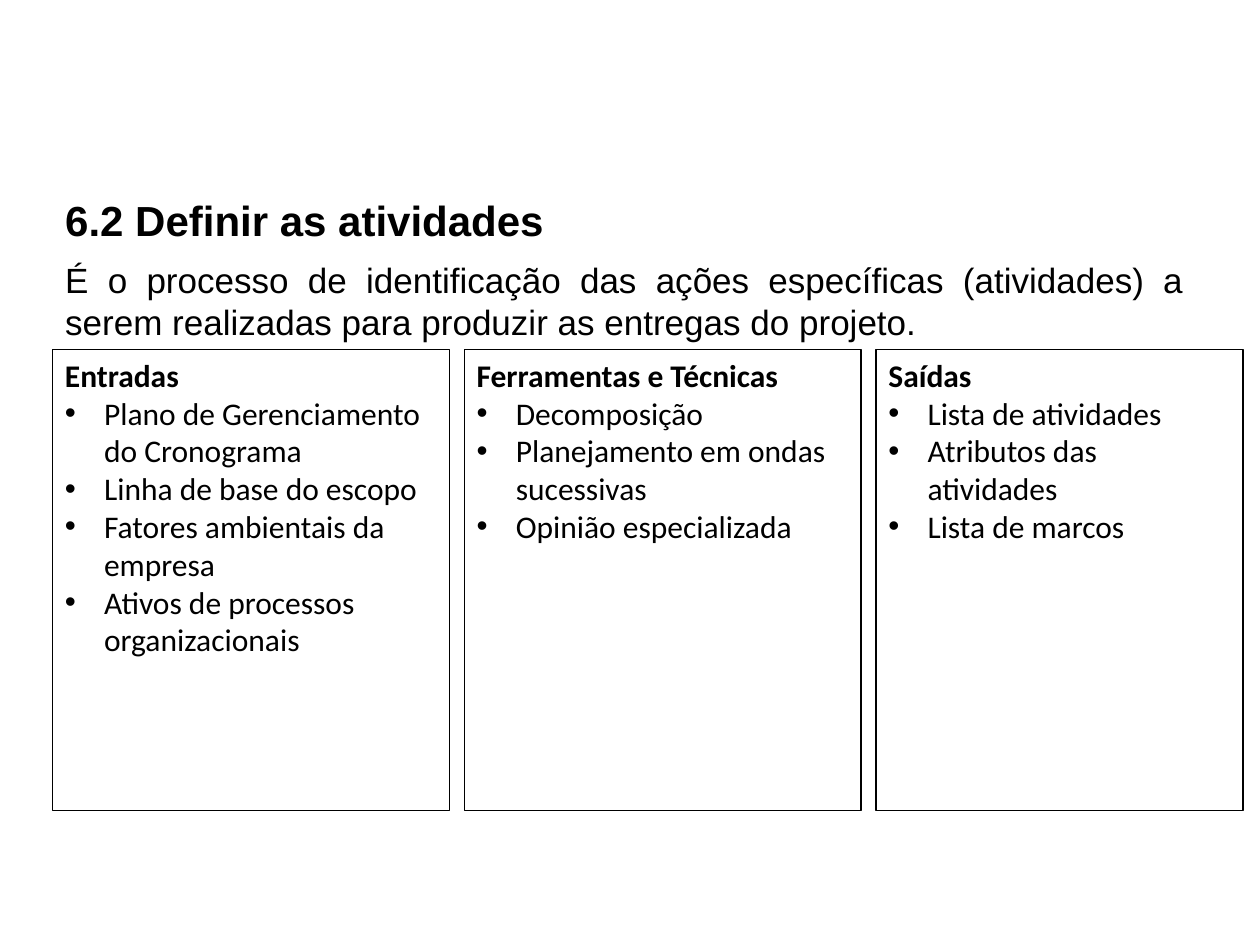
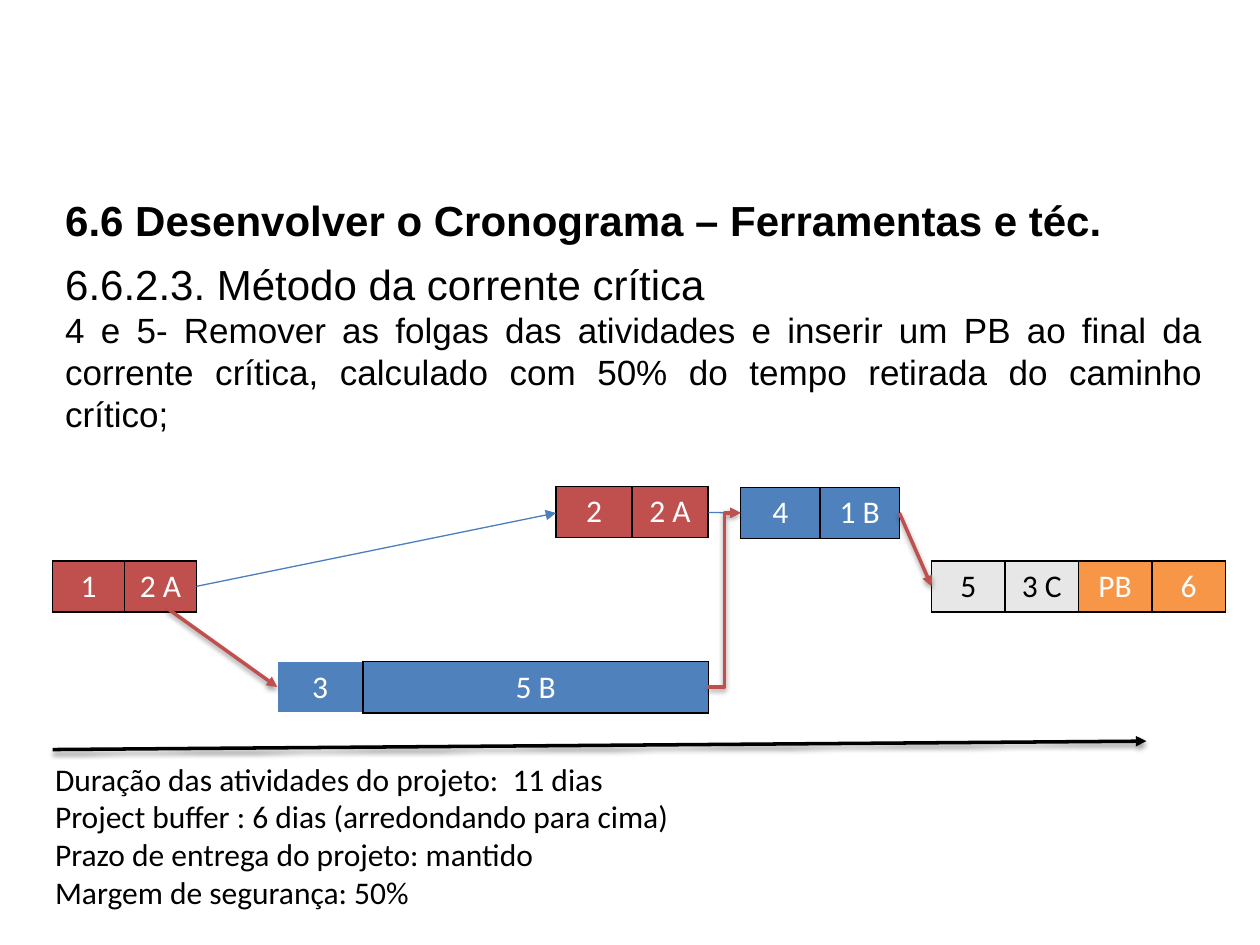
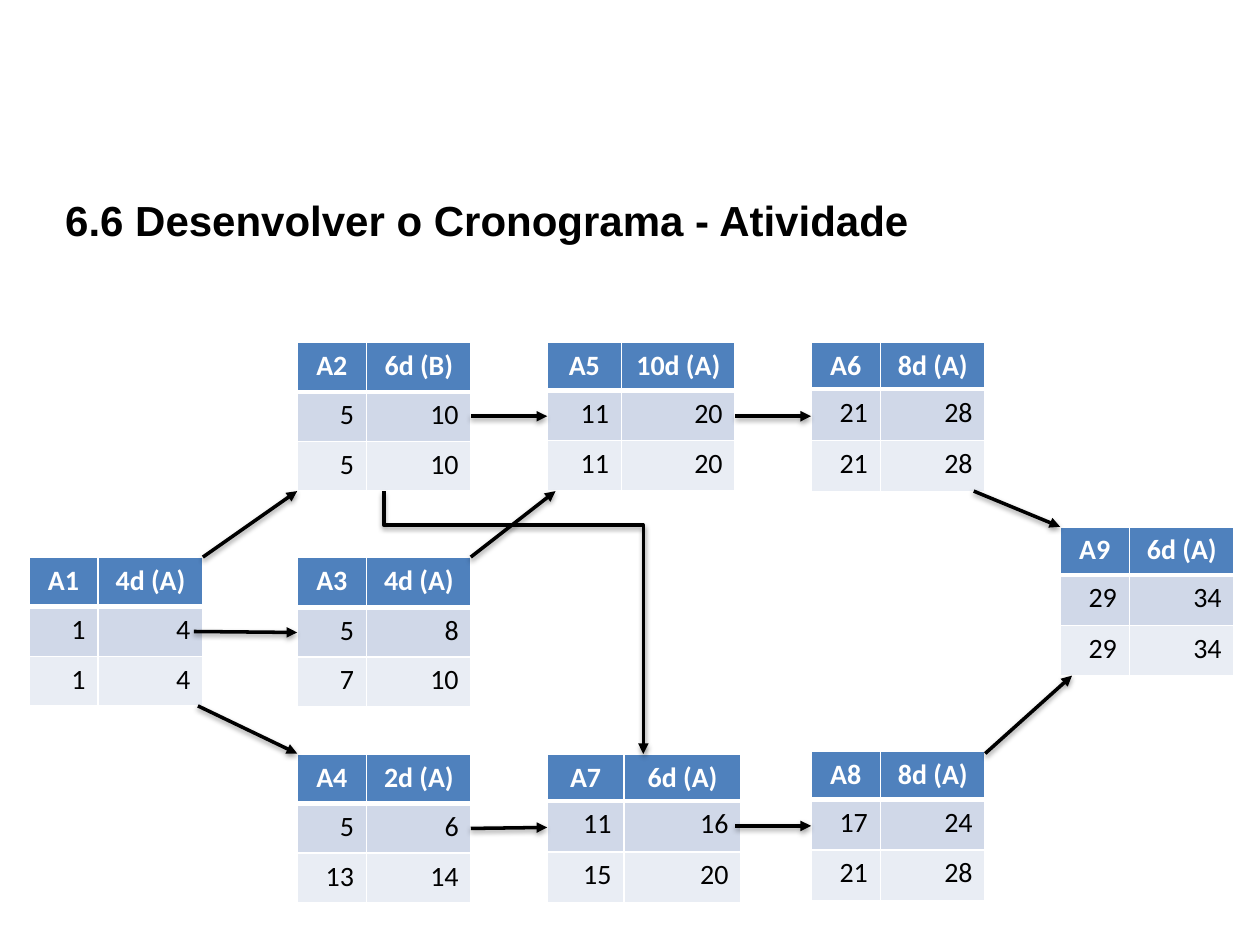
from dataclasses import dataclass
from typing import Optional

from pptx import Presentation
from pptx.dml.color import RGBColor
from pptx.enum.shapes import MSO_CONNECTOR as Link, MSO_SHAPE as Preset
from pptx.enum.text import MSO_ANCHOR as Anchor, MSO_AUTO_SIZE as AutoSize, PP_ALIGN as Align
from pptx.oxml import parse_xml
from pptx.oxml.ns import nsdecls, qn
from pptx.oxml.xmlchemy import OxmlElement
from pptx.util import Cm, Pt

COLORS = {
    "black": "000000",
    "white": "FFFFFF",
    "blue": "4F81BD",
    "thin_blue": "4B7EBC",
    "red": "C0504D",
    "orange": "F79646",
    "gray": "E7E7E7",
    "band_dark": "D0D8E8",
    "band_light": "E9EDF4",
}
HEADING_FONT = "Arial"
TEXT_FONT = "Calibri"
MARGIN = 1.06
BLOCK_HEIGHT = 1.02
ACTIVITY_HEIGHT = 3.0
TITLE_AND_BODY, TITLE_ONLY = 1, 5


@dataclass
class Panel:
    heading: str
    items: list[str]
    width: float = 8.0


@dataclass
class Block:
    labels: tuple[str, str]
    left: float
    top: float
    widths: tuple[float, float]
    fill: str
    color: str = "white"
    first_framed: bool = True


@dataclass
class Activity:
    name: str
    duration: str
    left: float
    top: float
    early: tuple[int, int]
    late: tuple[int, int]
    header: float = 0.97
    widths: tuple[float, float] = (1.4, 2.11)


@dataclass
class Arrow:
    start: tuple[float, float]
    end: tuple[float, float]
    color: str = "black"
    width: float = 2
    shadow: bool = True
    kind: Link = Link.STRAIGHT


def rgb(name: str) -> RGBColor:
    return RGBColor.from_string(COLORS[name])


def style(para, size: float, font: str = TEXT_FONT, color: str = "black",
          bold: bool = False, align: Align = Align.LEFT) -> None:
    para.alignment = align
    for span in para.runs:
        span.font.name = font
        span.font.size = Pt(size)
        span.font.bold = bold
        span.font.color.rgb = rgb(color)


def set_bullet(para, char: Optional[str] = None, indent: float = 0) -> None:
    props = para._p.get_or_add_pPr()
    props.set("marL", str(Cm(indent)))
    props.set("indent", str(-Cm(indent)))
    if char is None:
        props.append(OxmlElement("a:buNone"))
        return
    font = OxmlElement("a:buFont")
    font.set("typeface", HEADING_FONT)
    bullet = OxmlElement("a:buChar")
    bullet.set("char", char)
    props.extend([font, bullet])


def place(box, left: float, top: float, width: float, height: float) -> None:
    box.left, box.top, box.width, box.height = Cm(left), Cm(top), Cm(width), Cm(height)


def new_page(deck, title: str, layout: int):
    page = deck.slides.add_slide(deck.slide_layouts[layout])
    box = page.shapes.title
    place(box, MARGIN, 3.8, 23.06, 1.27)
    frame = box.text_frame
    frame.text = title
    frame.word_wrap = True
    frame.auto_size = AutoSize.NONE
    frame.vertical_anchor = Anchor.TOP
    style(frame.paragraphs[0], 24, HEADING_FONT, bold=True)
    return page


def fill_body(page, lines: list[tuple[str, float]], width: float, height: float) -> None:
    box = page.placeholders[1]
    place(box, MARGIN, 5.08, width, height)
    frame = box.text_frame
    frame.text = "\n".join(text for text, _ in lines)
    frame.auto_size = AutoSize.NONE
    frame.vertical_anchor = Anchor.TOP
    for para, (_, size) in zip(frame.paragraphs, lines):
        set_bullet(para)
        para.space_before = Pt(0)
        style(para, size, HEADING_FONT, align=Align.JUSTIFY)


def add_panel(page, panel: Panel, left: float) -> None:
    box = page.shapes.add_shape(Preset.RECTANGLE, Cm(left), Cm(7.05), Cm(panel.width), Cm(9.29))
    box.shadow.inherit = False
    box.fill.background()
    box.line.color.rgb = rgb("black")
    box.line.width = Pt(0.75)
    frame = box.text_frame
    frame.word_wrap = True
    frame.vertical_anchor = Anchor.TOP
    frame.text = "\n".join([panel.heading, *panel.items])
    for index, para in enumerate(frame.paragraphs):
        if index:
            set_bullet(para, "•", 0.79)
        style(para, 18, bold=index == 0)


def set_borders(cell, color: str, widths: dict[str, float]) -> None:
    props = cell._tc.get_or_add_tcPr()
    for index, side in enumerate(side for side in "LRTB" if side in widths):
        props.insert(index, parse_xml(
            f'<a:ln{side} {nsdecls("a")} w="{Pt(widths[side])}"><a:solidFill>'
            f'<a:srgbClr val="{COLORS[color]}"/></a:solidFill></a:ln{side}>'))


def add_grid(page, left: float, top: float, widths: tuple[float, ...],
             heights: list[float]):
    table = page.shapes.add_table(len(heights), len(widths), Cm(left), Cm(top),
                                  Cm(sum(widths)), Cm(sum(heights))).table
    table.first_row = table.horz_banding = False
    for column, width in zip(table.columns, widths):
        column.width = Cm(width)
    for row, height in zip(table.rows, heights):
        row.height = Cm(height)
    return table


def fill_cell(cell, text: str, fill: str, size: float, color: str,
              bold: bool = False, align: Align = Align.CENTER) -> None:
    cell.fill.solid()
    cell.fill.fore_color.rgb = rgb(fill)
    cell.text = text
    style(cell.text_frame.paragraphs[0], size, color=color, bold=bold, align=align)


def add_block(page, block: Block) -> None:
    table = add_grid(page, block.left, block.top, block.widths, [BLOCK_HEIGHT])
    for index, label in enumerate(block.labels):
        cell = table.cell(0, index)
        fill_cell(cell, label, block.fill, 18, block.color)
        sides = "LRTB" if index or block.first_framed else "R"
        set_borders(cell, "black", dict.fromkeys(sides, 1))


def add_activity(page, activity: Activity) -> None:
    body = (ACTIVITY_HEIGHT - activity.header) / 2
    table = add_grid(page, activity.left, activity.top, activity.widths,
                     [activity.header, body, body])
    rows = [(activity.name, activity.duration), activity.early, activity.late]
    for number, (values, fill) in enumerate(zip(rows, ("blue", "band_dark", "band_light"))):
        header = number == 0
        for column, value in enumerate(values):
            cell = table.cell(number, column)
            fill_cell(cell, str(value), fill, 16, "white" if header else "black",
                      header, Align.CENTER if header else Align.RIGHT)
            set_borders(cell, "white", {"L": 1, "R": 1, "T": 3 if number == 1 else 1,
                                        "B": 3 if header else 1})


def add_arrow(page, arrow: Arrow):
    line = page.shapes.add_connector(arrow.kind, *map(Cm, arrow.start + arrow.end))
    line.line.color.rgb = rgb(arrow.color)
    line.line.width = Pt(arrow.width)
    props = line.element.spPr
    head = OxmlElement("a:tailEnd")
    head.set("type", "triangle")
    props.find(qn("a:ln")).append(head)
    shadow = (f'<a:outerShdw blurRad="{Pt(3.1)}" dist="{Pt(1.6)}" dir="5400000" rotWithShape="0">'
              f'<a:srgbClr val="{COLORS["black"]}"><a:alpha val="38000"/></a:srgbClr>'
              '</a:outerShdw>') if arrow.shadow else ""
    props.append(parse_xml(f'<a:effectLst {nsdecls("a")}>{shadow}</a:effectLst>'))
    return line


def add_downward_elbow(page, start: tuple[float, float], end: tuple[float, float],
                       bend: float) -> None:
    across, down = end[0] - start[0], end[1] - start[1]
    left = (start[0] + end[0] - down) / 2
    top = (start[1] + end[1] - across) / 2
    line = add_arrow(page, Arrow((left, top), (left + down, top + across), kind=Link.ELBOW))
    props = line.element.spPr
    frame = props.find(qn("a:xfrm"))
    frame.set("rot", str(270 * 60000))
    frame.set("flipH", "1")
    guide = OxmlElement("a:gd")
    guide.set("name", "adj1")
    guide.set("fmla", f"val {round(bend * 100000)}")
    props.find(qn("a:prstGeom")).get_or_add_avLst().append(guide)


def build_definition(deck) -> None:
    page = new_page(deck, "6.2 Definir as atividades", TITLE_AND_BODY)
    fill_body(page, [("É o processo de identificação das ações específicas (atividades) a "
                      "serem realizadas para produzir as entregas do projeto.", 20)], 23.06, 1.96)
    panels = [
        Panel("Entradas", ["Plano de Gerenciamento do Cronograma", "Linha de base do escopo",
                           "Fatores ambientais da empresa",
                           "Ativos de processos organizacionais"]),
        Panel("Ferramentas e Técnicas", ["Decomposição", "Planejamento em ondas sucessivas",
                                         "Opinião especializada"]),
        Panel("Saídas", ["Lista de atividades", "Atributos das atividades",
                         "Lista de marcos"], 7.4),
    ]
    for index, panel in enumerate(panels):
        add_panel(page, panel, MARGIN + index * 8.3)


def build_critical_chain(deck) -> None:
    page = new_page(deck, "6.6 Desenvolver o Cronograma – Ferramentas e téc.", TITLE_AND_BODY)
    fill_body(page, [
        ("6.6.2.3. Método da corrente crítica", 24),
        ("4 e 5- Remover as folgas das atividades e inserir um PB ao final da corrente crítica, "
         "calculado com 50% do tempo retirada do caminho crítico;", 20)], 23.44, 3.84)
    for block in [
        Block(("1", "2 A"), MARGIN, 11.31, (1.45, 1.45), "red"),
        Block(("2", "2 A"), 11.21, 9.81, (1.53, 1.53), "red"),
        Block(("4", "1 B"), 14.93, 9.83, (1.6, 1.6), "blue"),
        Block(("5", "3 C"), 18.78, 11.31, (1.48, 1.48), "gray", "black"),
        Block(("3", "5 B"), 5.59, 13.34, (1.73, 6.96), "blue", first_framed=False),
        Block(("PB", "6"), 21.74, 11.31, (1.48, 1.48), "orange"),
    ]:
        add_block(page, block)
    for arrow in [
        Arrow((3.96, 11.82), (11.21, 10.34), "thin_blue", 0.75, False),
        Arrow((14.28, 10.33), (14.93, 10.34), "thin_blue", 0.75, False),
        Arrow((3.38, 12.27), (5.59, 13.85), "red"),
        Arrow((18.13, 10.34), (18.78, 11.82), "red"),
        Arrow((14.28, 13.85), (14.93, 10.34), "red", kind=Link.ELBOW),
        Arrow((MARGIN, 15.11), (23.11, 14.94)),
    ]:
        add_arrow(page, arrow)
    box = page.shapes.add_textbox(Cm(0.86), Cm(15.19), Cm(13.03), Cm(3.33))
    frame = box.text_frame
    frame.word_wrap = False
    frame.text = "\n".join(["Duração das atividades do projeto:  11 dias",
                            "Project buffer : 6 dias (arredondando para cima)",
                            "Prazo de entrega do projeto: mantido",
                            "Margem de segurança: 50%"])
    for para in frame.paragraphs:
        style(para, 18)


def build_network(deck) -> None:
    page = new_page(deck, "6.6 Desenvolver o Cronograma - Atividade", TITLE_ONLY)
    for activity in [
        Activity("A1", "4d (A)", 0.58, 11.23, (1, 4), (1, 4), 1.0),
        Activity("A2", "6d (B)", 5.99, 6.9, (5, 10), (5, 10), 1.0),
        Activity("A3", "4d (A)", 5.99, 11.24, (5, 8), (7, 10), 1.0),
        Activity("A4", "2d (A)", 5.99, 15.2, (5, 6), (13, 14), 1.0),
        Activity("A5", "10d (A)", 11.03, 6.9, (11, 20), (11, 20), widths=(1.5, 2.29)),
        Activity("A6", "8d (A)", 16.35, 6.9, (21, 28), (21, 28), 0.94),
        Activity("A7", "6d (A)", 11.03, 15.2, (11, 16), (15, 20), 0.94, (1.55, 2.36)),
        Activity("A8", "8d (A)", 16.35, 15.15, (17, 24), (21, 28)),
        Activity("A9", "6d (A)", 21.37, 10.62, (29, 34), (29, 34)),
    ]:
        add_activity(page, activity)
    for start, end in [
        ((4.09, 11.23), (5.99, 9.9)),
        ((3.91, 12.73), (5.99, 12.75)),
        ((3.99, 14.23), (5.99, 15.19)),
        ((19.63, 9.9), (21.37, 10.62)),
        ((19.86, 15.19), (21.61, 13.62)),
        ((9.49, 16.7), (11.03, 16.68)),
        ((14.82, 16.65), (16.35, 16.65)),
        ((9.49, 8.39), (11.03, 8.39)),
        ((14.82, 8.39), (16.35, 8.39)),
        ((9.49, 11.23), (11.2, 9.9)),
    ]:
        add_arrow(page, Arrow(start, end))
    add_downward_elbow(page, (7.74, 9.9), (12.97, 15.2), 0.13)


def main() -> None:
    deck = Presentation()
    deck.slide_width, deck.slide_height = Cm(25.4), Cm(19.05)
    build_definition(deck)
    build_critical_chain(deck)
    build_network(deck)
    deck.save("out.pptx")


if __name__ == "__main__":
    main()
